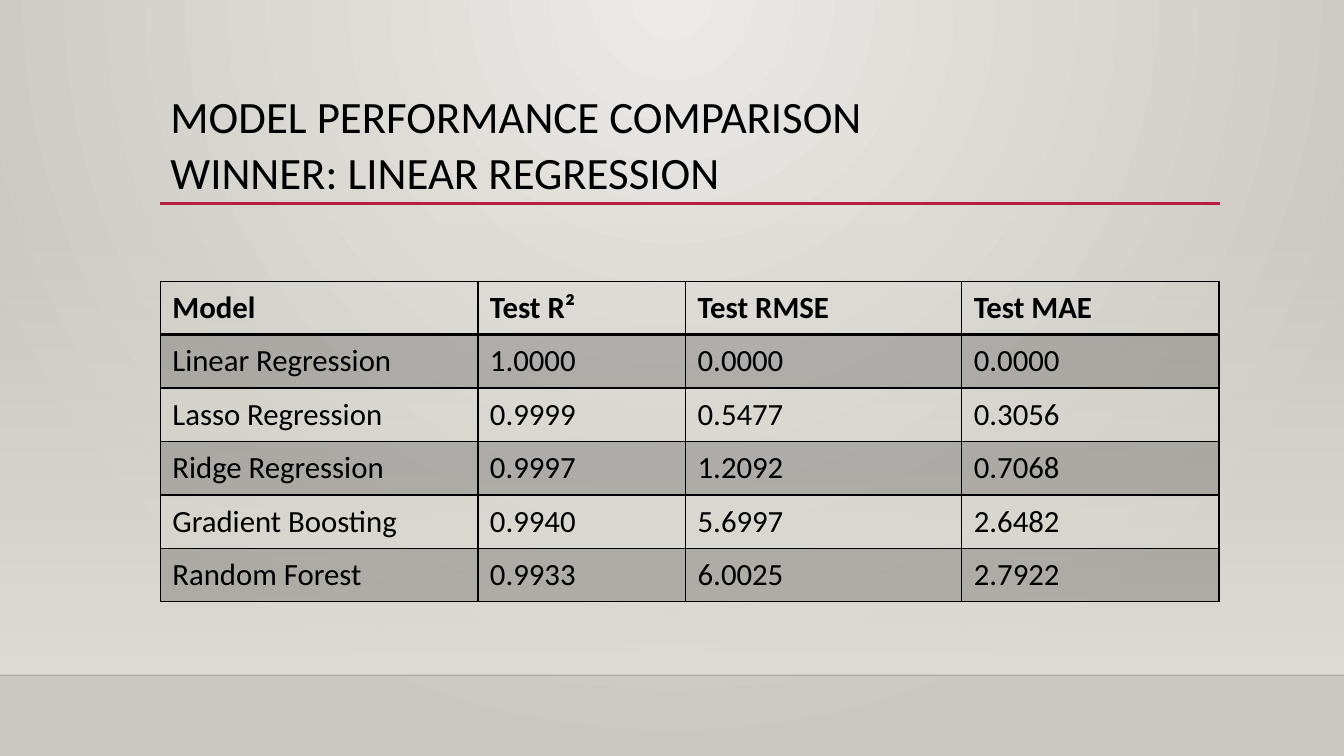
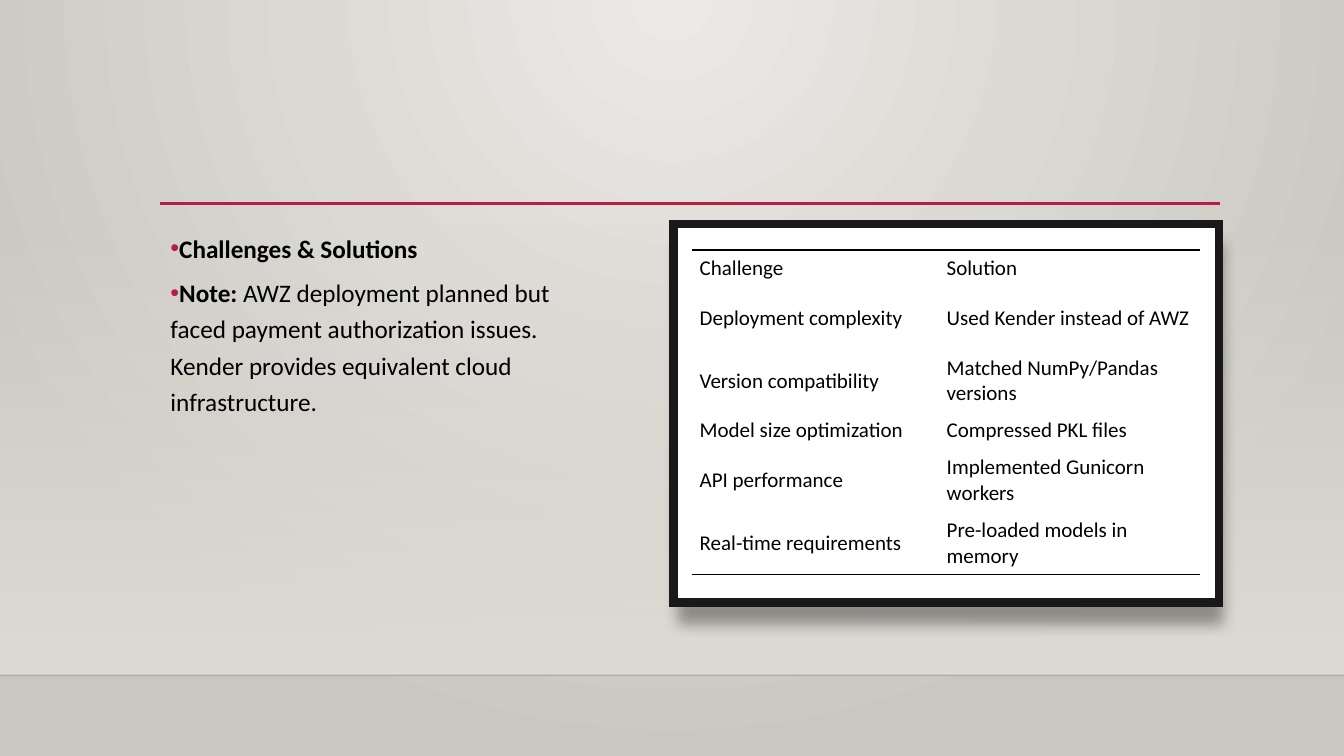
from dataclasses import dataclass, field

from lxml.etree import SubElement
from pptx import Presentation
from pptx.dml.color import RGBColor
from pptx.enum.shapes import MSO_CONNECTOR, MSO_SHAPE
from pptx.enum.text import MSO_ANCHOR, MSO_AUTO_SIZE, PP_ALIGN
from pptx.oxml import parse_xml
from pptx.oxml.ns import nsdecls, qn
from pptx.slide import Slide
from pptx.util import Inches, Pt

FONT = "Calibri"
BLACK = "000000"
INK = "000001"
COAL = "191919"
WHITE = "FFFFFF"
RED = "B71E42"
SAND = "DFDBD5"
PALE = "ECEAE7"
STONE = "CAC7C1"
PLAIN = "{2D5ABB26-0587-4C30-8999-92F81FD0307C}"
LEFT, RIGHT = 1.59, 12.1
WIDE, FLOOR = 13.33, 6.7
DOWN = '<a:lin ang="5400000" scaled="0"/>'
ACROSS = '<a:lin ang="0" scaled="0"/>'
GLOW = ('<a:path path="circle"><a:fillToRect l="43000" t="0" '
        'r="43000" b="100000"/></a:path>')


@dataclass
class Box:
    x: float
    y: float
    w: float
    h: float

    def span(self) -> tuple:
        return tuple(Inches(v) for v in (self.x, self.y, self.w, self.h))


@dataclass
class Run:
    text: str
    bold: bool = False


@dataclass
class Rule:
    x: float
    y: float
    end: float
    tint: str
    width: float
    alpha: int = 100


@dataclass
class Grid:
    box: Box
    cols: list[float]
    rows: list[float]
    size: float
    pad: tuple[float, float]
    data: list[tuple]
    full: bool = False
    edges: dict = field(default_factory=dict)


RULES = [
    Rule(0, FLOOR, WIDE, INK, 1, 20),
    Rule(LEFT, 2.02, RIGHT, RED, 2.5),
]

SCORES = Grid(
    Box(LEFT, 2.79, 10.5, 3.18), [3.15, 2.06, 2.74, 2.55], [0.53] * 6,
    22, (0.12, 0.06),
    [
        ("Model", "Test R²", "Test RMSE", "Test MAE"),
        ("Linear Regression", "1.0000", "0.0000", "0.0000"),
        ("Lasso Regression", "0.9999", "0.5477", "0.3056"),
        ("Ridge Regression", "0.9997", "1.2092", "0.7068"),
        ("Gradient Boosting", "0.9940", "5.6997", "2.6482"),
        ("Random Forest", "0.9933", "6.0025", "2.7922"),
    ],
    True, {0: {"B": 2}, 1: {"T": 2}},
)

FIXES = Grid(
    Box(6.86, 2.48, 5.04, 3.22), [2.45, 2.59],
    [0.37, 0.62, 0.62, 0.37, 0.62, 0.62], 15, (0.08, 0.04),
    [
        ("Challenge", "Solution"),
        ("Deployment complexity", "Used Kender instead of AWZ"),
        ("Version compatibility", "Matched NumPy/Pandas versions"),
        ("Model size optimization", "Compressed PKL files"),
        ("API performance", "Implemented Gunicorn workers"),
        ("Real-time requirements", "Pre-loaded models in memory"),
    ],
    False, {0: {"T": 1}, 5: {"B": 1}},
)

HEADS = [
    [Run("MODEL PERFORMANCE COMPARISON")],
    [Run("WINNER: LINEAR REGRESSION")],
]
NOTES = [
    [Run("Challenges & Solutions", True)],
    [Run("Note:", True),
     Run(" AWZ deployment planned but faced payment authorization issues. "
         "Kender provides equivalent cloud infrastructure.")],
]


def tint(code: str) -> RGBColor:
    return RGBColor.from_string(code)


def fade(node, alpha: int) -> None:
    if alpha < 100:
        clr = node.xpath(".//a:srgbClr")[0]
        SubElement(clr, qn("a:alpha"), val=str(alpha * 1000))


def blend(node, first: str, last: str, way: str, alpha: int = 100) -> None:
    grad = parse_xml(
        f'<a:gradFill {nsdecls("a")} rotWithShape="1"><a:gsLst>'
        f'<a:gs pos="0"><a:srgbClr val="{first}"/></a:gs>'
        f'<a:gs pos="100000"><a:srgbClr val="{last}"/></a:gs>'
        f'</a:gsLst>{way}</a:gradFill>')
    fade(grad, alpha)
    old = node.xpath(".//a:solidFill")[0]
    old.getparent().replace(old, grad)


def block(shapes, box: Box, code: str):
    shape = shapes.add_shape(MSO_SHAPE.RECTANGLE, *box.span())
    shape.shadow.inherit = False
    shape.fill.solid()
    shape.fill.fore_color.rgb = tint(code)
    shape.line.fill.background()
    return shape


def stroke(shapes, rule: Rule):
    line = shapes.add_connector(
        MSO_CONNECTOR.STRAIGHT, Inches(rule.x), Inches(rule.y),
        Inches(rule.end), Inches(rule.y))
    line.line.color.rgb = tint(rule.tint)
    line.line.width = Pt(rule.width)
    fade(line.element, rule.alpha)
    SubElement(line.element.spPr, qn("a:effectLst"))
    return line


def theme(deck, slide: Slide) -> None:
    base = deck.slide_master
    base.background.fill.solid()
    base.background.fill.fore_color.rgb = tint(PALE)
    blend(base.element.xpath(".//p:bgPr")[0], PALE, STONE, GLOW)
    band = block(slide.shapes, Box(0, 2.21, WIDE, FLOOR - 2.21), SAND)
    blend(band.element, SAND, SAND, DOWN, 0)
    parts = [band] + [stroke(slide.shapes, rule) for rule in RULES]
    for num, part in enumerate(parts, 20):
        part.element.xpath(".//p:cNvPr")[0].set("id", str(num))
        base.element.cSld.spTree.append(part.element)


def write(para, runs: list[Run], size: float) -> None:
    for item in runs:
        run = para.add_run()
        run.text = item.text
        font = run.font
        font.name, font.size, font.bold = FONT, Pt(size), item.bold
        font.color.rgb = tint(BLACK)


def dot(para) -> None:
    props = para._p.get_or_add_pPr()
    props.set("marL", "0")
    props.set("indent", str(-Inches(0.25)))
    clr = SubElement(props, qn("a:buClr"))
    SubElement(clr, qn("a:srgbClr"), val=RED)
    SubElement(props, qn("a:buFont"), typeface="Arial")
    SubElement(props, qn("a:buChar"), char="•")


def fill(holder, box: Box, paras: list[list[Run]], size: float,
         lead: float, anchor: MSO_ANCHOR, dots: bool = False) -> None:
    holder.left, holder.top, holder.width, holder.height = box.span()
    frame = holder.text_frame
    frame.word_wrap = True
    frame.auto_size = MSO_AUTO_SIZE.NONE
    frame.vertical_anchor = anchor
    for num, runs in enumerate(paras):
        para = frame.add_paragraph() if num else frame.paragraphs[0]
        para.alignment = PP_ALIGN.LEFT
        para.line_spacing = lead
        para.space_before, para.space_after = Pt(0), Pt(6)
        if dots:
            dot(para)
        write(para, runs, size)


def edge(cell, sides: dict) -> None:
    props = cell._tc.get_or_add_tcPr()
    for side in "LRTB":
        if side in sides:
            props.append(parse_xml(
                f'<a:ln{side} {nsdecls("a")} w="{Pt(sides[side])}">'
                f'<a:solidFill><a:srgbClr val="{BLACK}"/></a:solidFill>'
                f'</a:ln{side}>'))


def chart(slide: Slide, grid: Grid) -> None:
    frame = slide.shapes.add_table(
        len(grid.rows), len(grid.cols), *grid.box.span())
    table = frame.table
    table.first_row = grid.full
    table.horz_banding = False
    frame.element.xpath(".//a:tableStyleId")[0].text = PLAIN
    for col, width in zip(table.columns, grid.cols):
        col.width = Inches(width)
    for row, height in zip(table.rows, grid.rows):
        row.height = Inches(height)
    across, down = (Inches(v) for v in grid.pad)
    sides = dict.fromkeys("LRTB", 1) if grid.full else {}
    for r, texts in enumerate(grid.data):
        for c, text in enumerate(texts):
            cell = table.cell(r, c)
            cell.vertical_anchor = MSO_ANCHOR.MIDDLE
            cell.margin_left = cell.margin_right = across
            cell.margin_top = cell.margin_bottom = down
            edge(cell, sides | grid.edges.get(r, {}))
            if grid.full and r % 2:
                cell.fill.solid()
                cell.fill.fore_color.rgb = tint(BLACK)
                fade(cell._tc.tcPr.xpath("./a:solidFill")[0], 20)
            else:
                cell.fill.background()
            head = grid.full and r == 0
            write(cell.text_frame.paragraphs[0], [Run(text, head)], grid.size)


def panel(slide: Slide) -> None:
    group = slide.shapes.add_group_shape()
    back = block(group.shapes, Box(6.68, 2.2, 5.41, 3.78), INK)
    blend(back.element, INK, COAL, ACROSS)
    back.element.spPr.xpath("./a:effectLst")[0].append(parse_xml(
        f'<a:outerShdw {nsdecls("a")} blurRad="{Pt(10)}" dist="{Pt(15)}" '
        f'dir="{79 * 60000}" algn="tl" rotWithShape="0">'
        f'<a:srgbClr val="{BLACK}"><a:alpha val="34000"/></a:srgbClr>'
        f'</a:outerShdw>'))
    front = block(group.shapes, Box(6.68, 2.22, 5.41, 3.76), WHITE)
    front.line.color.rgb = tint(COAL)
    front.line.width = Pt(6)
    SubElement(front.line._ln, qn("a:miter"), lim="800000")


def main() -> None:
    deck = Presentation()
    deck.slide_width, deck.slide_height = Inches(WIDE), Inches(7.5)

    first = deck.slides.add_slide(deck.slide_layouts[5])
    theme(deck, first)
    fill(first.shapes.title, Box(LEFT, 0.88, 10.5, 1.15), HEADS,
         32, 0.9, MSO_ANCHOR.BOTTOM)
    chart(first, SCORES)

    second = deck.slides.add_slide(deck.slide_layouts[1])
    title = second.shapes.title.element
    title.getparent().remove(title)
    fill(second.placeholders[1], Box(LEFT, 2.2, 4.55, 3.77), NOTES,
         18, 1.2, MSO_ANCHOR.TOP, True)
    panel(second)
    chart(second, FIXES)

    deck.save("out.pptx")


if __name__ == "__main__":
    main()
